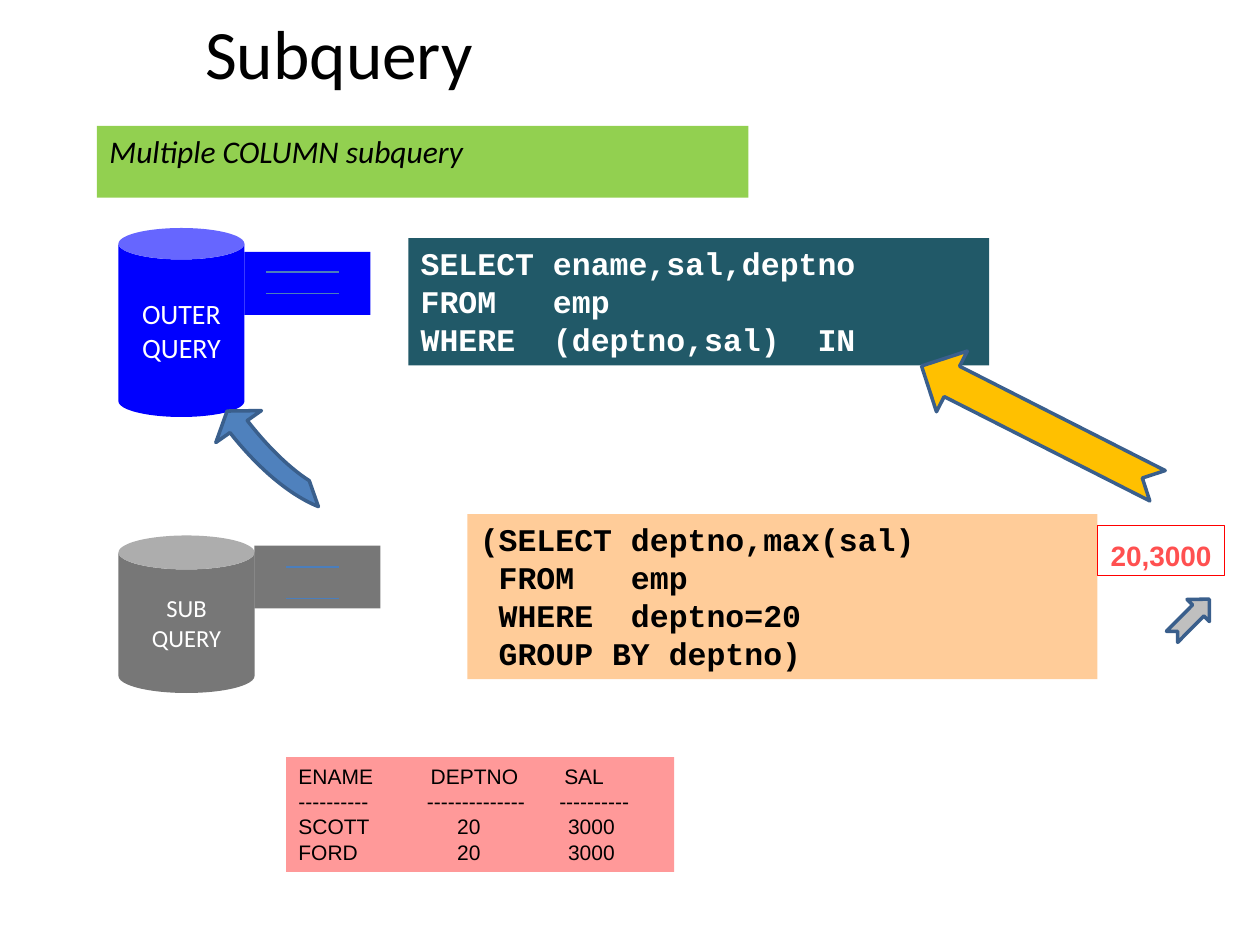
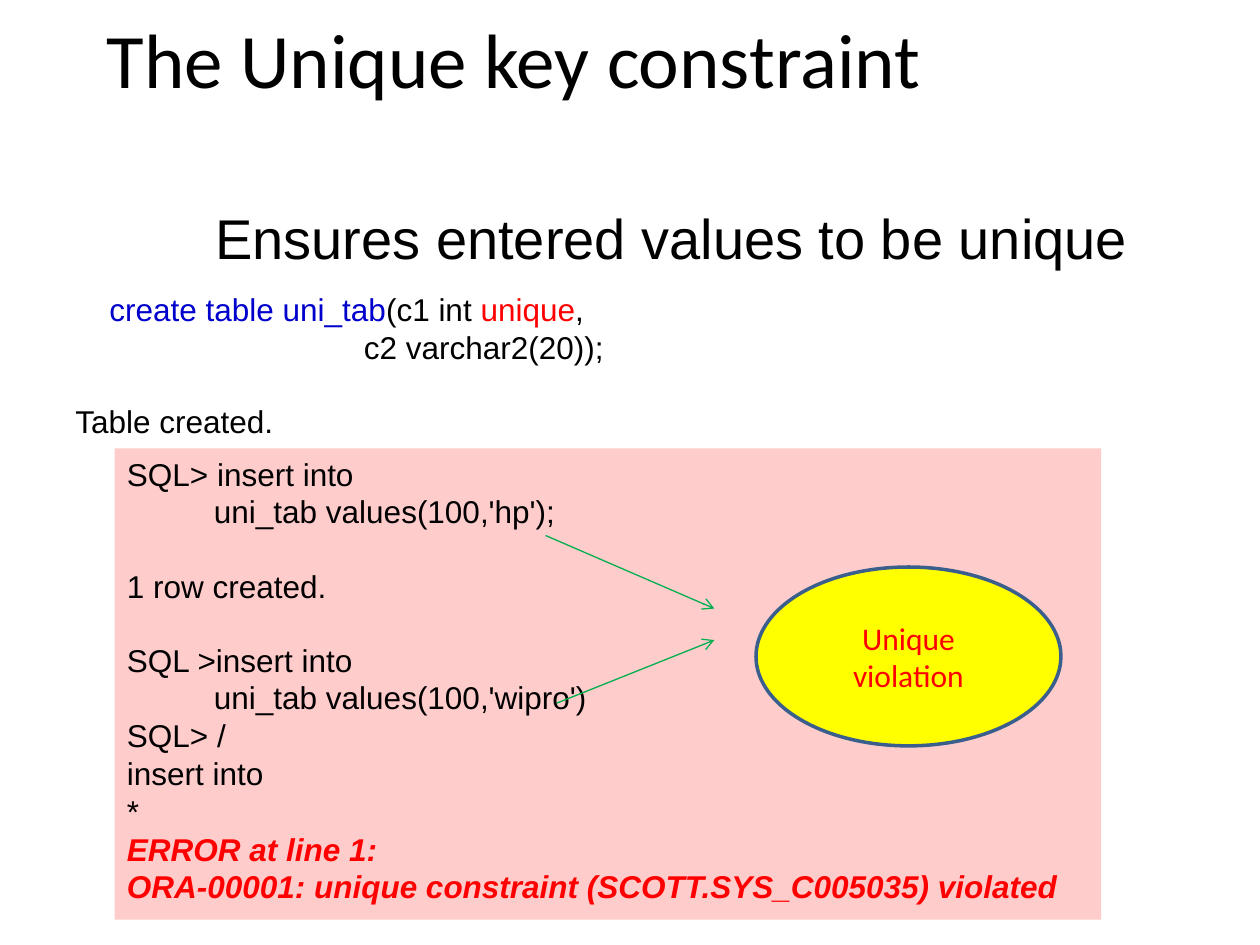
import dataclasses
import lxml.etree
import pptx
import pptx.dml.color
import pptx.enum.shapes
import pptx.enum.text
import pptx.oxml.ns
import pptx.util

Inches = pptx.util.Inches
Pt = pptx.util.Pt
Kind = pptx.enum.shapes.MSO_SHAPE
Align = pptx.enum.text.PP_ALIGN
Anchor = pptx.enum.text.MSO_ANCHOR
qn = pptx.oxml.ns.qn


@dataclasses.dataclass(frozen=True)
class Style:
    font: str
    size: float
    ink: str = "000000"
    bold: bool = False
    slant: bool = False


@dataclasses.dataclass(frozen=True)
class Row:
    """One paragraph: text or (text, style) runs, with indent, gap and tab stops."""
    runs: object
    inset: float = 0
    gap: float = 0
    stops: tuple = ()


class Theme:
    black, white, red = "000000", "FFFFFF", "FF0000"
    blue, gray, edge, thread = "0000FF", "777777", "3A5F8C", "4B7EBC"
    green, teal, peach, rose, pink = "92D050", "215968", "FFCC99", "FF9999", "FFCCCC"
    curve, gold, silver, yellow, link = "4F81BD", "FFC000", "BFBFBF", "FFFF00", "00B050"
    thin, thick = 0.75, 2
    small_title = Style("Calibri", 39.6)
    title = Style("Calibri", 44)
    band = Style("Calibri", 18, slant=True)
    outer = Style("Calibri", 16, white)
    inner = Style("Calibri", 14, white)
    code = Style("Courier New", 18, bold=True)
    light_code = dataclasses.replace(code, ink=white)
    value = Style("Arial", 16, "FF5050", bold=True)
    table = Style("Arial", 12)
    lead = Style("Arial", 32)
    plain = Style("Arial", 18)
    key = dataclasses.replace(plain, ink="0000CC")
    alert = dataclasses.replace(plain, ink=red)
    error = dataclasses.replace(alert, bold=True, slant=True)
    verdict = Style("Calibri", 18, red)


def tint(code):
    return pptx.dml.color.RGBColor.from_string(code)


def write(shape, rows, style, align=Align.LEFT, anchor=Anchor.TOP):
    frame = shape.text_frame
    frame.word_wrap = True
    frame.vertical_anchor = anchor
    for side in ("left", "right"):
        setattr(frame, f"margin_{side}", Inches(0.1))
    for side in ("top", "bottom"):
        setattr(frame, f"margin_{side}", Inches(0.05))
    for count, row in enumerate(rows):
        row = row if isinstance(row, Row) else Row(row)
        para = frame.add_paragraph() if count else frame.paragraphs[0]
        para.alignment = align
        props = para._p.get_or_add_pPr()
        if row.inset:
            props.set("marL", str(Inches(row.inset)))
        if row.stops:
            tabs = lxml.etree.SubElement(props, qn("a:tabLst"))
            for stop in row.stops:
                lxml.etree.SubElement(tabs, qn("a:tab"), pos=str(Inches(stop)), algn="l")
        if row.gap:
            para.space_before = Pt(row.gap)
        runs = [(row.runs, style)] if isinstance(row.runs, str) else row.runs
        for text, look in runs:
            run = para.add_run()
            run.text = text
            font = run.font
            font.name, font.size = look.font, Pt(look.size)
            font.bold, font.italic = look.bold, look.slant
            font.color.rgb = tint(look.ink)


def draw(slide, kind, box, fill=None, edge=None, width=Theme.thick, turn=0):
    shape = slide.shapes.add_shape(kind, *map(Inches, box))
    shape.shadow.inherit = False
    shape.rotation = turn
    if fill:
        shape.fill.solid()
        shape.fill.fore_color.rgb = tint(fill)
    else:
        shape.fill.background()
    if edge:
        shape.line.color.rgb = tint(edge)
        shape.line.width = Pt(width)
    else:
        shape.line.fill.background()
    return shape


def panel(slide, box, fill, rows, style):
    write(draw(slide, Kind.RECTANGLE, box, fill), rows, style)


def label(slide, box, rows, style, anchor=Anchor.TOP):
    write(slide.shapes.add_textbox(*map(Inches, box)), rows, style, anchor=anchor)


def heading(slide, box, text, style):
    label(slide, box, [text], style, Anchor.MIDDLE)


def link(slide, start, end, ink, arrow=False):
    line = slide.shapes.add_connector(
        pptx.enum.shapes.MSO_CONNECTOR.STRAIGHT, *map(Inches, (*start, *end)))
    line.line.color.rgb = tint(ink)
    line.line.width = Pt(Theme.thin)
    if arrow:
        lxml.etree.SubElement(line.line._get_or_add_ln(), qn("a:tailEnd"), type="arrow")
    lxml.etree.SubElement(line._element.spPr, qn("a:effectLst"))


def store(slide, box, fill, text, style, drop, threads):
    """Can with a bar on its right; threads are (left, right, heights) in the bar."""
    left, top, width, _ = box
    can = draw(slide, Kind.CAN, box, fill)
    write(can, [text], style, Align.CENTER, Anchor.MIDDLE)
    bar_left, bar_top = left + width, top + drop
    draw(slide, Kind.RECTANGLE, (bar_left, bar_top, 1, 0.5), fill)
    start, end, heights = threads
    for height in heights:
        link(slide, (bar_left + start, bar_top + height),
             (bar_left + end, bar_top + height), Theme.thread)


def stores(slide, left, top):
    store(slide, (left, top, 1, 1.5), Theme.blue, "OUTER QUERY",
          Theme.outer, 0.19, (0.17, 0.75, (0.16, 0.33)))
    store(slide, (left, top + 2.44, 1.08, 1.25), Theme.gray, "SUB QUERY",
          Theme.inner, 0.08, (0.25, 0.67, (0.17, 0.42)))
    bend = draw(slide, Kind.CIRCULAR_ARROW, (left + 0.56, top - 0.18, 1.34, 2.75),
                Theme.curve, Theme.edge, turn=145)
    for spot, value in enumerate((0.125, 11.423, 204.577, 171.405, 0.165)):
        bend.adjustments[spot] = value


def queries(slide, left, top):
    panel(slide, (left + 0.47, top + 2.19, 5, 1.31), Theme.peach,
          ["(SELECT deptno,max(sal)", " FROM   emp",
           " WHERE  deptno=20", " GROUP BY deptno)"], Theme.code)
    panel(slide, (left, top, 4.61, 1.01), Theme.teal,
          ["SELECT ename,sal,deptno", "FROM   emp", "WHERE  (deptno,sal)  IN"],
          Theme.light_code)
    value = draw(slide, Kind.RECTANGLE, (left + 5.47, top + 2.28, 1.01, 0.4),
                 edge=Theme.red, width=Theme.thin)
    write(value, ["20,3000"], Theme.value, Align.CENTER)
    value.text_frame.word_wrap = False
    value.text_frame.paragraphs[0].line_spacing = 1.2
    for box, fill, turn in (((6, 2.89, 0.42, 0.25), Theme.silver, 314.7),
                            ((3.96, 1.22, 2.1, 0.54), Theme.gold, 206.9)):
        draw(slide, Kind.NOTCHED_RIGHT_ARROW, (left + box[0], top + box[1], *box[2:]),
             fill, Theme.edge, turn=turn)


def result(slide, box):
    figures = (1.26, 2.14)
    rows = [Row("ENAME\tDEPTNO\tSAL", stops=(1.05, 2.11)),
            Row("----------\t--------------\t----------", stops=(1.02, 2.07)),
            Row("SCOTT\t20\t3000", stops=figures),
            Row("FORD\t20\t3000", stops=figures)]
    panel(slide, box, Theme.rose, rows, Theme.table)


def subquery(slide):
    heading(slide, (1.53, 0, 7.69, 0.83), "Subquery", Theme.small_title)
    stores(slide, 0.94, 1.81)
    queries(slide, 3.24, 1.89)
    result(slide, (2.27, 6.01, 3.08, 0.91))
    panel(slide, (0.77, 1, 5.17, 0.57), Theme.green,
          ["Multiple COLUMN subquery"], Theme.band)


def session(slide, box):
    """Log of the two inserts, with arrows to the verdict."""
    left, top = box[:2]
    blank = 20.7
    rows = ["SQL> insert into",
            Row("uni_tab values(100,'hp');", inset=0.69),
            Row("1 row created.", gap=blank),
            Row("SQL >insert into", gap=blank),
            Row("uni_tab values(100,'wipro')", inset=0.69),
            "SQL> /", "insert into", "*",
            Row([("ERROR at line 1:", Theme.error)]),
            Row([("ORA-00001: unique constraint (SCOTT.SYS_C005035) violated",
                  Theme.error)])]
    panel(slide, box, Theme.pink, rows, Theme.plain)
    for start, end in (((3.42, 0.69), (4.76, 1.27)), ((3.51, 2.02), (4.76, 1.52))):
        link(slide, (left + start[0], top + start[1]),
             (left + end[0], top + end[1]), Theme.link, arrow=True)
    verdict = draw(slide, Kind.OVAL, (left + 5.09, top + 0.94, 2.42, 1.42),
                   Theme.yellow, Theme.edge)
    write(verdict, ["Unique violation"], Theme.verdict, Align.CENTER, Anchor.MIDDLE)


def unique(slide):
    heading(slide, (0.75, 0, 9.25, 0.92), "The Unique key constraint", Theme.title)
    label(slide, (1.61, 1.42, 8.06, 0.92), ["Ensures entered values to be unique"],
          Theme.lead, Anchor.MIDDLE)
    create = [("create table uni_tab", Theme.key), ("(c1 int ", Theme.plain),
              ("unique", Theme.alert), (",", Theme.plain)]
    label(slide, (0.5, 2.25, 6.83, 1.31),
          [Row(create, inset=0.27), Row("c2 varchar2(20));", inset=2.29),
           Row("Table created.", gap=20.7)], Theme.plain)
    session(slide, (0.91, 3.56, 7.83, 3.74))


def main():
    deck = pptx.Presentation()
    deck.slide_width, deck.slide_height = Inches(10), Inches(7.5)
    for build in (subquery, unique):
        build(deck.slides.add_slide(deck.slide_layouts[6]))
    deck.save("out.pptx")


if __name__ == "__main__":
    main()
